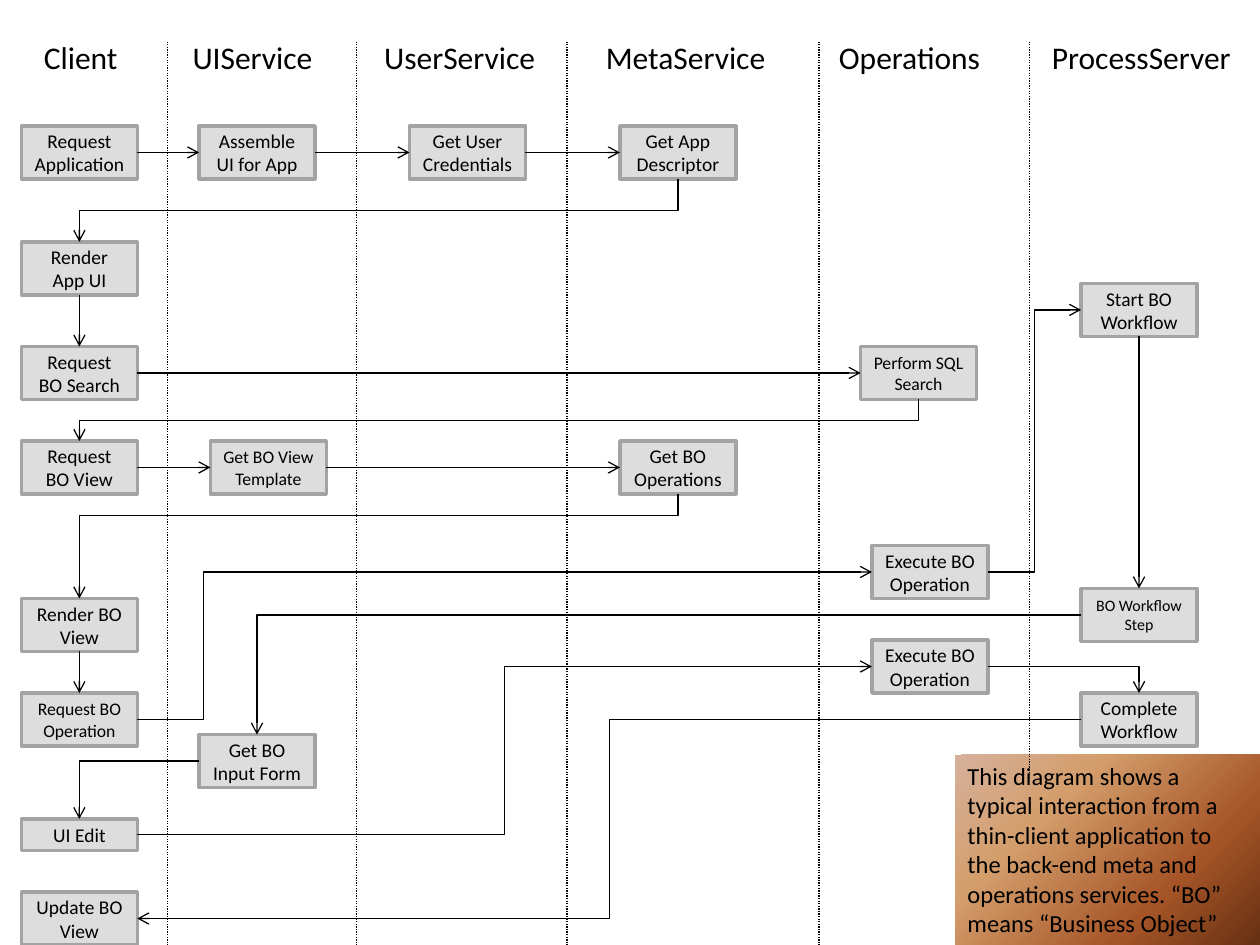
from lxml import etree
from pptx import Presentation
from pptx.dml.color import RGBColor
from pptx.enum.dml import MSO_LINE
from pptx.enum.shapes import MSO_CONNECTOR as CONN, MSO_SHAPE as SHAPE
from pptx.enum.text import MSO_ANCHOR as ANCHOR, PP_ALIGN as ALIGN
from pptx.oxml import parse_xml
from pptx.oxml.ns import nsdecls, qn
from pptx.util import Inches, Pt

HEADINGS = [
    ("Client", 0.25, 0.83), ("UIService", 1.43, 1.16),
    ("UserService", 2.95, 1.41), ("MetaService", 4.71, 1.5),
    ("Operations", 6.56, 1.34), ("ProcessServer", 8.25, 1.75),
]
LANES = [(1.33, 7.5), (2.83, 7.5), (4.5, 7.5), (6.5, 7.5), (8.17, 6.17)]

BOX_W, BOX_H = 0.92, 0.42
CLIENT, UI, USER, META, OPS, PROCESS = 0.17, 1.58, 3.25, 4.92, 6.92, 8.58
STEPS = {
    "request_app": ("Request Application", CLIENT, 1, 11.1),
    "assemble_ui": ("Assemble UI for App", UI, 1, 11.1),
    "credentials": ("Get User Credentials", USER, 1, 11.1),
    "descriptor": ("Get App Descriptor", META, 1, 11.1),
    "render_app": ("Render App UI", CLIENT, 1.92, 11.1),
    "start_flow": ("Start BO Workflow", PROCESS, 2.25, 11.1),
    "request_search": ("Request BO Search", CLIENT, 2.75, 11.1),
    "sql_search": ("Perform SQL Search", 6.83, 2.75, 10.1),
    "request_view": ("Request BO View", CLIENT, 3.5, 11.1),
    "view_template": ("Get BO View Template", 1.67, 3.5, 10.1),
    "get_operations": ("Get BO Operations", META, 3.5, 11.1),
    "execute_first": ("Execute BO Operation", OPS, 4.33, 11.1),
    "flow_step": ("BO Workflow Step", PROCESS, 4.67, 9.1),
    "render_view": ("Render BO View", CLIENT, 4.75, 11.1),
    "execute_second": ("Execute BO Operation", OPS, 5.08, 11.1),
    "request_operation": ("Request BO Operation", CLIENT, 5.5, 10.1),
    "complete_flow": ("Complete Workflow", PROCESS, 5.5, 11.1),
    "input_form": ("Get BO Input Form", UI, 5.83, 11.1),
    "ui_edit": ("UI Edit", CLIENT, 6.5, 11.1),
    "update_view": ("Update BO View", CLIENT, 7.08, 11.1),
}
HEIGHTS = {"ui_edit": 0.25}

TOP, LEFT, BOTTOM, RIGHT = range(4)
STRAIGHT = [
    ("request_app", RIGHT, "assemble_ui", LEFT),
    ("assemble_ui", RIGHT, "credentials", LEFT),
    ("credentials", RIGHT, "descriptor", LEFT),
    ("render_app", BOTTOM, "request_search", TOP),
    ("request_search", RIGHT, "sql_search", LEFT),
    ("request_view", RIGHT, "view_template", LEFT),
    ("view_template", RIGHT, "get_operations", LEFT),
    ("start_flow", BOTTOM, "flow_step", TOP),
    ("render_view", BOTTOM, "request_operation", TOP),
]
BENT = [
    ("descriptor", BOTTOM, "render_app", TOP, 0.5),
    ("sql_search", BOTTOM, "request_view", TOP, 0.5),
    ("get_operations", BOTTOM, "render_view", TOP, 0.21),
    ("request_operation", RIGHT, "execute_first", LEFT, 0.09),
    ("execute_first", RIGHT, "start_flow", LEFT, 0.5),
    ("flow_step", LEFT, "input_form", TOP, None),
    ("input_form", LEFT, "ui_edit", TOP, None),
    ("ui_edit", RIGHT, "execute_second", LEFT, 0.5),
    ("execute_second", RIGHT, "complete_flow", TOP, None),
    ("complete_flow", LEFT, "update_view", RIGHT, 0.5),
]
NOTE = ("This diagram shows a typical interaction from a thin-client application "
        "to the back-end meta and operations services. “BO” means “Business Object”")
NOTE_STOPS = [(0, "D6B19C"), (30, "D49E6C"), (70, "A65528"), (100, "663012")]


def color(hex_value):
    return RGBColor.from_string(hex_value)


def write(sp, text, size, align=ALIGN.LEFT, anchor=ANCHOR.TOP, wrap=True):
    tf = sp.text_frame
    tf.word_wrap = wrap
    tf.vertical_anchor = anchor
    p = tf.paragraphs[0]
    p.alignment = align
    r = p.add_run()
    r.text = text
    r.font.size = Pt(size)
    r.font.name = "Calibri"
    r.font.color.rgb = color("000000")


def add_rect(slide, x, y, w, h):
    sp = slide.shapes.add_shape(SHAPE.RECTANGLE, *map(Inches, (x, y, w, h)))
    sp.shadow.inherit = False
    return sp


def add_note(slide):
    sp = add_rect(slide, 7.58, 5.99, 2.42, 1.51)
    sp.line.fill.background()
    stops = "".join(f'<a:gs pos="{pos * 1000}"><a:srgbClr val="{c}"/></a:gs>'
                    for pos, c in NOTE_STOPS)
    grad = parse_xml(f'<a:gradFill {nsdecls("a")}><a:gsLst>{stops}</a:gsLst>'
                     '<a:lin ang="2700000" scaled="0"/></a:gradFill>')
    sp._element.spPr.find(qn("a:prstGeom")).addnext(grad)
    write(sp, NOTE, 14)


def add_step(slide, key):
    text, x, y, size = STEPS[key]
    sp = add_rect(slide, x, y, BOX_W, HEIGHTS.get(key, BOX_H))
    sp.fill.solid()
    sp.fill.fore_color.rgb = color("DDDDDD")
    sp.line.color.rgb = color("A3A3A3")
    sp.line.width = Pt(2)
    write(sp, text, size, ALIGN.CENTER, ANCHOR.MIDDLE)
    return sp


def add_line(slide, kind, start, end, arrow=True):
    cxn = slide.shapes.add_connector(kind, *map(Inches, (*start, *end)))
    cxn.line.color.rgb = color("000000")
    cxn.line.width = Pt(0.75)
    if arrow:
        etree.SubElement(cxn.line._get_or_add_ln(), qn("a:tailEnd"), type="arrow")
    else:
        cxn.line.dash_style = MSO_LINE.ROUND_DOT
    etree.SubElement(cxn._element.spPr, qn("a:effectLst"))
    return cxn


def side_point(key, side):
    x, y = STEPS[key][1:3]
    h = HEIGHTS.get(key, BOX_H)
    return {TOP: (x + BOX_W / 2, y), LEFT: (x, y + h / 2),
            BOTTOM: (x + BOX_W / 2, y + h), RIGHT: (x + BOX_W, y + h / 2)}[side]


def add_bent(slide, source, out_side, target, in_side, bend):
    (x1, y1), (x2, y2) = side_point(source, out_side), side_point(target, in_side)
    downward = out_side == BOTTOM
    if downward:
        cx, cy = (x1 + x2) / 2, (y1 + y2) / 2
        half_w, half_h = abs(y2 - y1) / 2, abs(x2 - x1) / 2
        x1, y1, x2, y2 = cx - half_w, cy - half_h, cx + half_w, cy + half_h
    cxn = add_line(slide, CONN.ELBOW, (x1, y1), (x2, y2))
    sp_pr = cxn._element.spPr
    if downward:
        sp_pr.find(qn("a:xfrm")).set("rot", "5400000")
    geom = sp_pr.find(qn("a:prstGeom"))
    if bend is None:
        geom.set("prst", "bentConnector2")
    else:
        guides = geom.find(qn("a:avLst"))
        etree.SubElement(guides, qn("a:gd"), name="adj1", fmla=f"val {round(bend * 100000)}")


def main():
    prs = Presentation()
    prs.slide_width, prs.slide_height = Inches(10), Inches(7.5)
    slide = prs.slides.add_slide(prs.slide_layouts[6])
    add_note(slide)
    for text, x, w in HEADINGS:
        sp = slide.shapes.add_textbox(*map(Inches, (x, 0.25, w, 0.4)))
        write(sp, text, 18, wrap=False)
    for x, bottom in LANES:
        add_line(slide, CONN.STRAIGHT, (x, 0.33), (x, bottom), arrow=False)
    boxes = {key: add_step(slide, key) for key in STEPS}
    for source, out_side, target, in_side in STRAIGHT:
        cxn = add_line(slide, CONN.STRAIGHT, side_point(source, out_side),
                       side_point(target, in_side))
        cxn.begin_connect(boxes[source], out_side)
        cxn.end_connect(boxes[target], in_side)
    for link in BENT:
        add_bent(slide, *link)
    prs.save("out.pptx")


if __name__ == "__main__":
    main()
